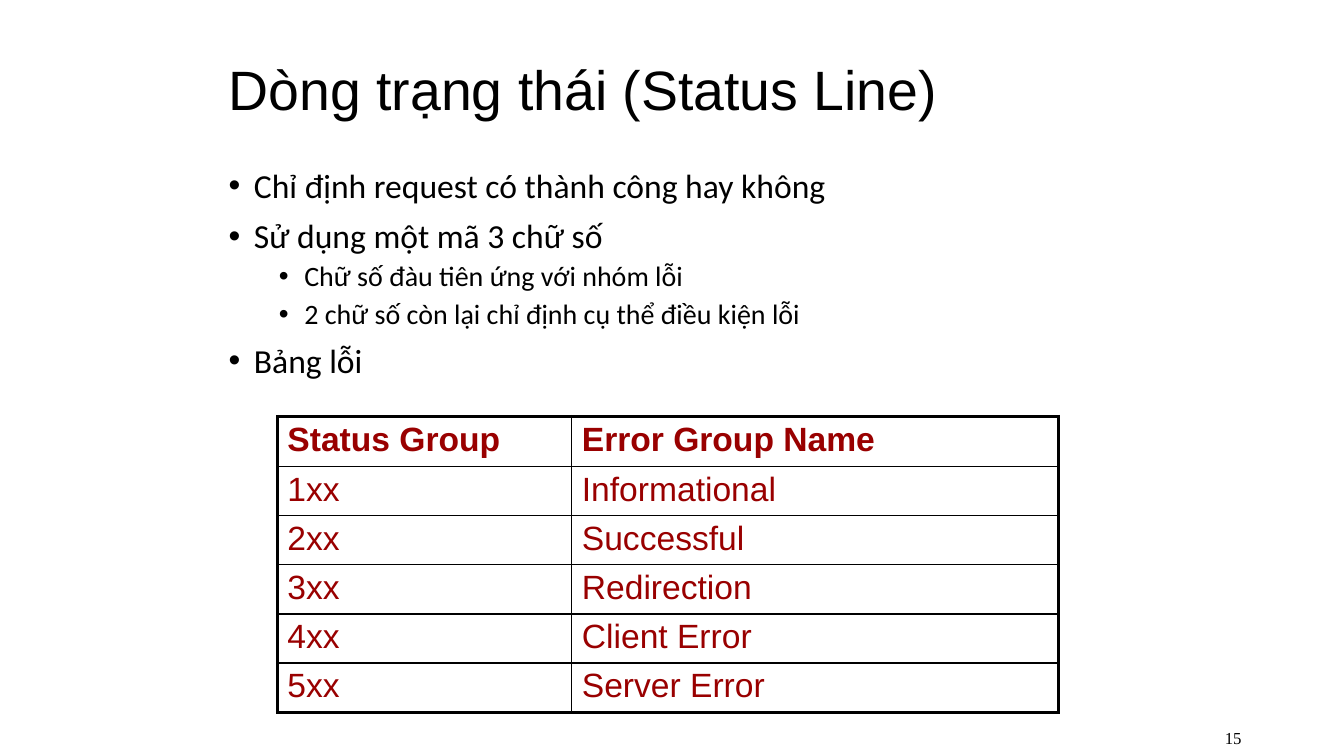
import pptx
import pptx.util
import pptx.dml.color
import pptx.enum.text
import pptx.oxml
import pptx.oxml.ns
from pptx.util import Cm

INK = {"text": "000000", "table": "990000", "line": "000000"}
ALIGN = pptx.enum.text.PP_ALIGN
MIDDLE = pptx.enum.text.MSO_ANCHOR.MIDDLE
NS = pptx.oxml.ns.nsdecls("a")

# Text formats
TITLE = {"name": "Arial", "size": pptx.util.Pt(39.6)}
MAIN = {"name": "Calibri", "size": pptx.util.Pt(24)}
SUB = {"name": "Calibri", "size": pptx.util.Pt(20)}
HEAD = {"name": "Arial", "size": pptx.util.Pt(24), "bold": True}
CELL = {"name": "Arial", "size": pptx.util.Pt(24), "bold": False}
PAGE = {"name": "Times New Roman", "size": pptx.util.Pt(12)}


def write(para, text, form, ink="text"):
    run = para.add_run()
    run.text = text
    for key, val in form.items():
        setattr(run.font, key, val)
    run.font.color.rgb = pptx.dml.color.RGBColor.from_string(INK[ink])


def add_box(left, top, width, height):
    box = slide.shapes.add_textbox(Cm(left), Cm(top), Cm(width), Cm(height))
    box.text_frame.word_wrap = True
    return box.text_frame


deck = pptx.Presentation()
deck.slide_width, deck.slide_height = Cm(33.87), Cm(19.05)
slide = deck.slides.add_slide(deck.slide_layouts[6])

# Page number
frame = add_box(23.92, 18.14, 7.62, 0.91)
frame.vertical_anchor = MIDDLE
frame.paragraphs[0].alignment = ALIGN.RIGHT
write(frame.paragraphs[0], "15", PAGE)

# Title
frame = add_box(5.51, 1.38, 23.28, 1.9)
frame.vertical_anchor = MIDDLE
frame.paragraphs[0].line_spacing = 0.9
write(frame.paragraphs[0], "Dòng trạng thái (Status Line)", TITLE)

# Bullets: level and text
points = [
    (0, "Chỉ định request có thành công hay không"),
    (0, "Sử dụng một mã 3 chữ số"),
    (1, "Chữ số đàu tiên ứng với nhóm lỗi"),
    (1, "2 chữ số còn lại chỉ định cụ thể điều kiện lỗi"),
    (0, "Bảng lỗi"),
]
frame = add_box(5.51, 4.14, 17.93, 7.49)
for i, (level, text) in enumerate(points):
    para = frame.add_paragraph() if i else frame.paragraphs[0]
    para.level = level
    para.line_spacing = 0.9
    para.space_before = pptx.util.Pt(5 if level else 10)
    write(para, text, SUB if level else MAIN)
    props = para._p.get_or_add_pPr()
    props.set("marL", str(Cm(0.64 + 1.27 * level)))
    props.set("indent", str(-Cm(0.64)))
    for tag in ('buFont {} typeface="Arial"', 'buChar {} char="•"'):
        props.append(pptx.oxml.parse_xml(f"<a:{tag.format(NS)}/>"))

# Status table
rows = [
    ("Status Group", "Error Group Name"),
    ("1xx", "Informational"),
    ("2xx", "Successful"),
    ("3xx", "Redirection"),
    ("4xx", "Client Error"),
    ("5xx", "Server Error"),
]
last = len(rows) - 1
table = slide.shapes.add_table(
    len(rows), 2, Cm(6.99), Cm(10.49), Cm(19.69), Cm(7.27)).table
table.first_row = table.horz_banding = False
for col, width in zip(table.columns, (7.42, 12.27)):
    col.width = Cm(width)
for r, row in enumerate(rows):
    table.rows[r].height = Cm(1.2 if r else 1.27)
    for c, text in enumerate(row):
        cell = table.cell(r, c)
        cell.fill.background()
        cell.margin_top = cell.margin_bottom = Cm(0.11)
        write(cell.text_frame.paragraphs[0], text, CELL if r else HEAD, "table")
        # Thick outer frame, thin inner lines
        outer = {"L": c == 0, "R": c == 1, "T": r == 0, "B": r == last}
        for n, (side, thick) in enumerate(outer.items()):
            size = pptx.util.Pt(2.25 if thick else 1)
            line = pptx.oxml.parse_xml(
                f'<a:ln{side} {NS} w="{size}"><a:solidFill>'
                f'<a:srgbClr val="{INK["line"]}"/></a:solidFill></a:ln{side}>')
            cell._tc.get_or_add_tcPr().insert(n, line)

deck.save("out.pptx")
